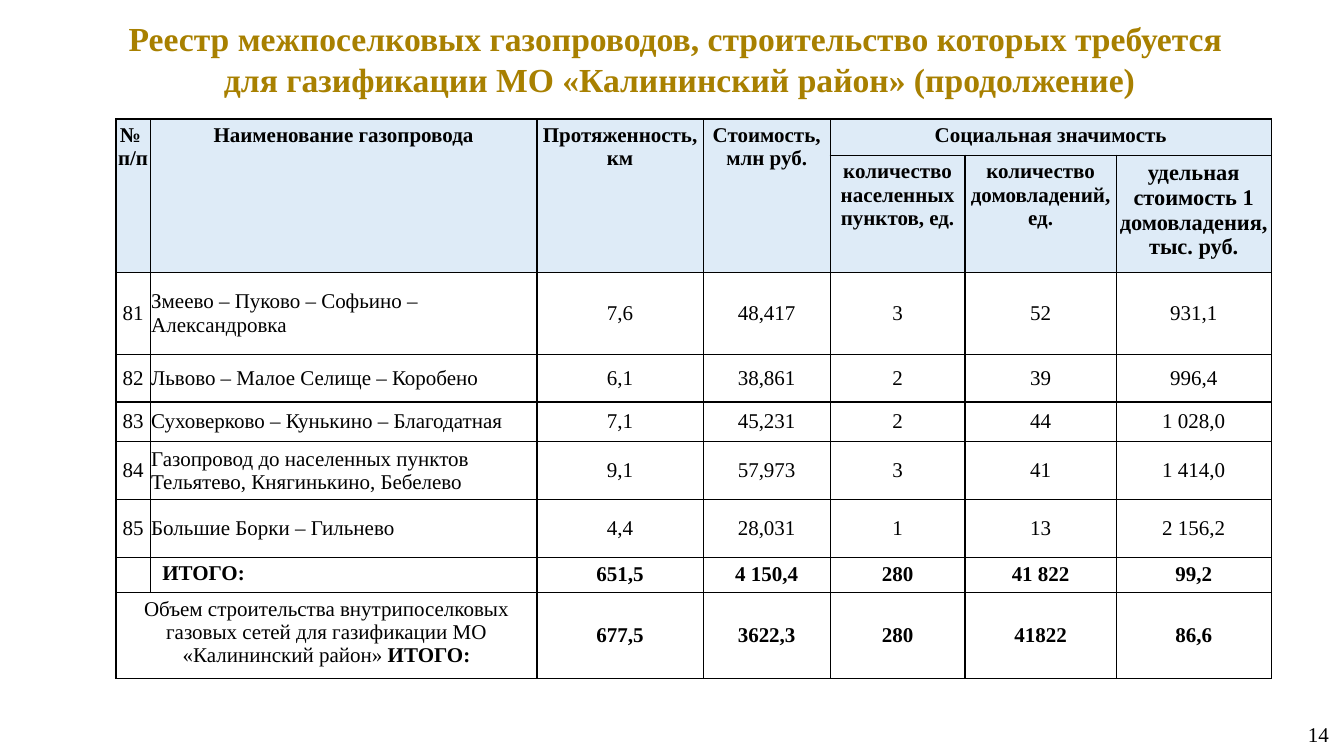
from lxml import etree
from pptx import Presentation, util as u
from pptx.dml.color import RGBColor
from pptx.enum import text
from pptx.oxml.ns import qn

COLORS = {"title": "A88000", "ink": "000000", "header": "DEEBF7", "paper": "FFFFFF"}
ALIGN = text.PP_ALIGN
ANCHOR = text.MSO_ANCHOR

COLUMN_WEIGHTS = [0.34, 3.84, 1.65, 1.26, 1.34, 1.5, 1.54]
ROW_WEIGHTS = [0.36, 1.16, 0.82, 0.47, 0.39, 0.58, 0.57, 0.35, 0.85]
MERGES = [(0, 0, 1, 0), (0, 1, 1, 1), (0, 2, 1, 2), (0, 3, 1, 3), (0, 4, 0, 6), (8, 0, 8, 1)]
HEADINGS = [
    (0, 0, "№ \nп/п"),
    (0, 1, "Наименование газопровода"),
    (0, 2, "Протяженность, км"),
    (0, 3, "Стоимость, млн руб."),
    (0, 4, "Социальная значимость"),
    (1, 4, "количество населенных пунктов, ед."),
    (1, 5, "количество\nдомовладений, ед."),
    (1, 6, "удельная стоимость 1 домовладения, тыс. руб."),
]
PIPELINES = [
    ["81", "Змеево – Пуково – Софьино – Александровка", "7,6", "48,417", "3", "52", "931,1"],
    ["82", "Львово – Малое Селище – Коробено", "6,1", "38,861", "2", "39", "996,4"],
    ["83", "Суховерково – Кунькино – Благодатная", "7,1", "45,231", "2", "44", "1 028,0"],
    ["84", "Газопровод до населенных пунктов Тельятево, Княгинькино, Бебелево",
     "9,1", "57,973", "3", "41", "1 414,0"],
    ["85", "Большие Борки – Гильнево", "4,4", "28,031", "1", "13", "2 156,2"],
]
TOTALS = [
    (7, ["651,5", "4 150,4", "280", "41 822", "99,2"]),
    (8, ["677,5", "3622,3", "280", "41822", "86,6"]),
]


class Slide:
    font = "Times New Roman"
    size = 15

    def __init__(self, deck):
        self.deck = deck
        self.page = deck.slides.add_slide(deck.slide_layouts[5])

    def area(self, left, top, width, height):
        across, down = self.deck.slide_width / 100, self.deck.slide_height / 100
        return [int(share * unit) for share, unit in
                zip((left, top, width, height), (across, down, across, down))]

    def style(self, para, align, size=None, bold=False, color="ink"):
        para.alignment = align
        para.font.name = self.font
        para.font.size = u.Pt(size or self.size)
        para.font.bold = bold
        para.font.color.rgb = RGBColor.from_string(COLORS[color])

    def title(self, lines, *shares):
        box = self.page.shapes.title
        box.left, box.top, box.width, box.height = self.area(*shares)
        frame = box.text_frame
        frame.text = "\n".join(lines)
        frame.auto_size = text.MSO_AUTO_SIZE.NONE
        frame.vertical_anchor = ANCHOR.TOP
        for para in frame.paragraphs:
            self.style(para, ALIGN.CENTER, 24, True, "title")

    def number(self, label, *shares):
        frame = self.page.shapes.add_textbox(*self.area(*shares)).text_frame
        frame.word_wrap = True
        frame.vertical_anchor = ANCHOR.MIDDLE
        frame.text = label
        self.style(frame.paragraphs[0], ALIGN.RIGHT)

    def table(self, columns, rows, *shares):
        left, top, width, height = self.area(*shares)
        table = self.page.shapes.add_table(
            len(rows), len(columns), left, top, width, height).table
        table.first_row = table.horz_banding = False
        for column, weight in zip(table.columns, columns):
            column.width = int(width * weight / sum(columns))
        for row, weight in zip(table.rows, rows):
            row.height = int(height * weight / sum(rows))
        for cell in table.iter_cells():
            self.border(cell)
            self.fill(cell, "paper")
            self.label(cell, "")
        return table

    def border(self, cell):
        properties = cell._tc.get_or_add_tcPr()
        for side in ("a:lnL", "a:lnR", "a:lnT", "a:lnB"):
            line = etree.SubElement(properties, qn(side), w=str(u.Pt(0.96)))
            solid = etree.SubElement(line, qn("a:solidFill"))
            etree.SubElement(solid, qn("a:srgbClr"), val=COLORS["ink"])

    def fill(self, cell, color):
        cell.fill.solid()
        cell.fill.fore_color.rgb = RGBColor.from_string(COLORS[color])

    def label(self, cell, words, align=ALIGN.CENTER, anchor=ANCHOR.MIDDLE,
              size=None, bold=False, side=0.01, pad=0.01):
        cell.margin_left = cell.margin_right = u.Inches(side)
        cell.margin_top = cell.margin_bottom = u.Inches(pad)
        cell.vertical_anchor = anchor
        cell.text_frame.paragraphs[0].text = words
        self.style(cell.text_frame.paragraphs[0], align, size, bold)


def main():
    deck = Presentation()
    deck.slide_width, deck.slide_height = u.Inches(13.33), u.Inches(7.5)
    slide = Slide(deck)
    slide.title(["Реестр межпоселковых газопроводов, строительство которых требуется ",
                 "для газификации МО «Калининский район» (продолжение)"],
                6.45, 1.73, 88.22, 12)

    table = slide.table(COLUMN_WEIGHTS, ROW_WEIGHTS, 8.63, 15.73, 85.97, 74)
    for top, left, bottom, right in MERGES:
        table.cell(top, left).merge(table.cell(bottom, right))
    for row in range(2):
        for column in range(len(COLUMN_WEIGHTS)):
            slide.fill(table.cell(row, column), "header")
    for row, column, heading in HEADINGS:
        size = 16 if (row, column) == (1, 6) else None
        slide.label(table.cell(row, column), heading, anchor=ANCHOR.TOP,
                    size=size, bold=True, pad=0.05)

    for row, pipeline in enumerate(PIPELINES, 2):
        for column, value in enumerate(pipeline):
            align = ALIGN.LEFT if column == 1 else ALIGN.CENTER
            slide.label(table.cell(row, column), value, align)

    for row, values in TOTALS:
        for column, value in enumerate(values, 2):
            slide.label(table.cell(row, column), value, bold=True)
    slide.label(table.cell(7, 1), "ИТОГО:", ALIGN.LEFT, ANCHOR.TOP,
                bold=True, side=0.12, pad=0.05)
    networks = table.cell(8, 0)
    slide.label(networks, "Объем строительства внутрипоселковых газовых сетей "
                "для газификации МО «Калининский район» ", anchor=ANCHOR.TOP, pad=0.05)
    span = networks.text_frame.paragraphs[0].add_run()
    span.text = "ИТОГО:"
    span.font.bold = True

    slide.number("14", 79.29, 93.07, 20.33, 8.13)
    deck.save("out.pptx")


if __name__ == "__main__":
    main()
